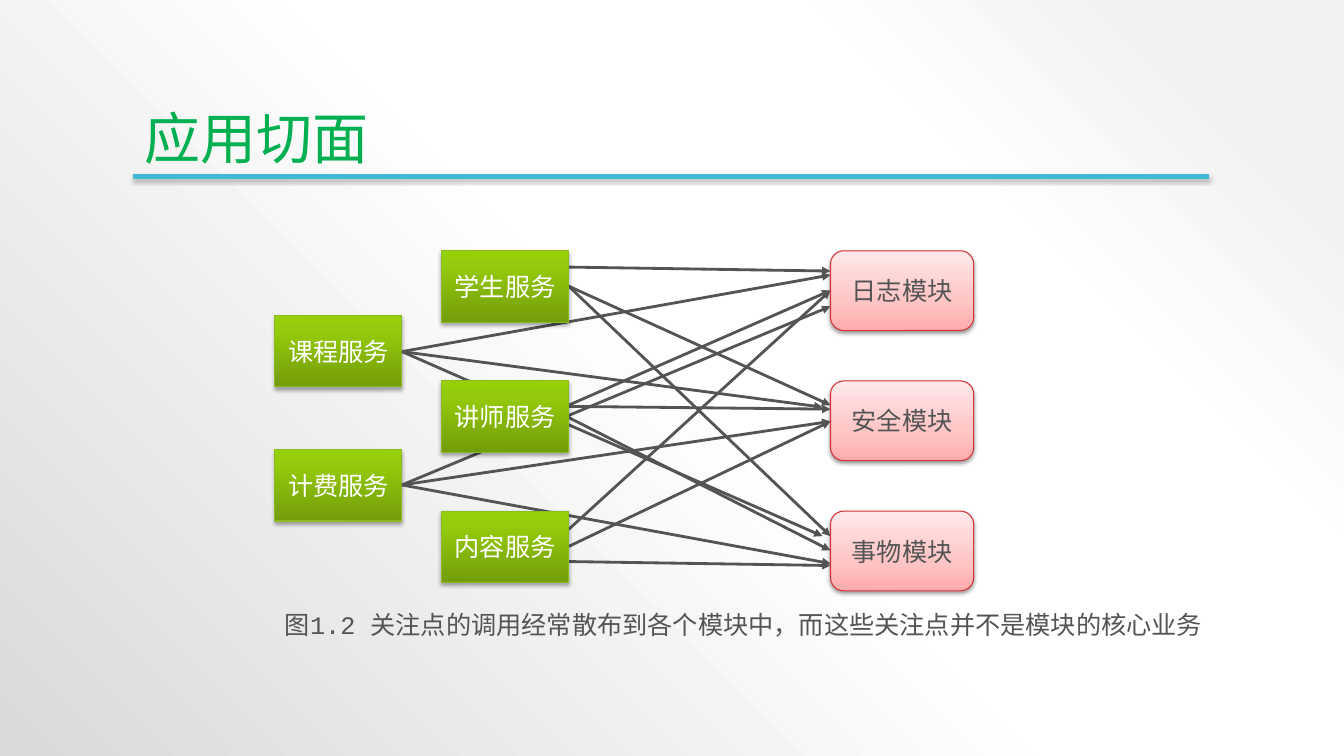
"""Build the slide on services that call shared aspect modules."""
import dataclasses
import typing

import lxml.etree
import pptx
import pptx.dml.color
import pptx.enum.shapes
import pptx.enum.text
import pptx.oxml
import pptx.oxml.ns
import pptx.shapes.autoshape
import pptx.shapes.connector
import pptx.slide
import pptx.text.text
import pptx.util

Cm = pptx.util.Cm
Pt = pptx.util.Pt
RGB = pptx.dml.color.RGBColor.from_string
ShapeKind = pptx.enum.shapes.MSO_SHAPE
Align = pptx.enum.text.PP_ALIGN
Anchor = pptx.enum.text.MSO_ANCHOR
qn = pptx.oxml.ns.qn

Stops = tuple[tuple[int, str], ...]
UPWARD = '<a:lin ang="16200000" scaled="0"/>'
FROM_TOP_RIGHT = '<a:path path="circle"><a:fillToRect l="100000" b="100000"/></a:path>'


@dataclasses.dataclass(frozen=True)
class Theme:
    font: str = "Courier New"
    title: str = "00B050"
    rule: str = "40BAD2"
    ink: str = "545454"
    white: str = "FFFFFF"
    title_size: float = 40
    text_size: float = 18
    rule_width: float = 3
    arrow_width: float = 2
    outline_width: float = 0.75
    line_spacing: float = 0.9
    backdrop: Stops = ((10, "F2F2F2"), (28, "FFFFFF"), (48, "FFFFFF"), (100, "D9D9D9"))


THEME = Theme()


@dataclasses.dataclass(frozen=True)
class BoxStyle:
    kind: pptx.enum.shapes.MSO_SHAPE
    width: float
    height: float
    stops: Stops
    outline: str
    ink: str
    shadow_alpha: int
    shadow_distance: float


@dataclasses.dataclass(frozen=True)
class Box:
    label: str
    left: float
    top: float
    style: BoxStyle


class Arrow(typing.NamedTuple):
    x1: float
    y1: float
    x2: float
    y2: float


SERVICE = BoxStyle(ShapeKind.RECTANGLE, 3.2, 1.8,
                   ((0, "739D09"), (80, "95CB0C"), (100, "97D008")),
                   "8EBB1F", THEME.white, 35, 1.8)
MODULE = BoxStyle(ShapeKind.ROUNDED_RECTANGLE, 3.61, 2.01,
                  ((0, "FFABAC"), (35, "FFC4C4"), (100, "FFE8E9")),
                  "D43438", THEME.ink, 38, 1.6)

OUTER_X, INNER_X, MODULE_X = 6.93, 11.13, 20.93
OUTER_END, INNER_END = OUTER_X + SERVICE.width, INNER_X + SERVICE.width
SHORT_X = 20.73
ROWS = [6.32 + 3.28 * row for row in range(3)]

OUTER_SERVICES = [Box("课程服务", OUTER_X, 7.95, SERVICE),
                  Box("计费服务", OUTER_X, 11.33, SERVICE)]
INNER_SERVICES = [Box(label, INNER_X, top, SERVICE)
                  for label, top in zip(("学生服务", "讲师服务", "内容服务"), ROWS)]
MODULES = [Box(label, MODULE_X, top, MODULE)
           for label, top in zip(("日志模块", "安全模块", "事物模块"), ROWS)]

ARROWS = [
    *(Arrow(INNER_END, y1, MODULE_X, y2) for y1, y2 in (
        (6.73, 6.83), (7.21, 10.21), (7.21, 13.51),
        (10.21, 7.32), (10.24, 10.31), (10.52, 13.87),
        (13.34, 7.32), (14.15, 14.25), (13.77, 10.62))),
    *(Arrow(OUTER_END, 12.22, MODULE_X, y2) for y2 in (14.2, 10.62, 7.72)),
    Arrow(OUTER_END, 8.86, MODULE_X, 6.93),
    *(Arrow(OUTER_END, 8.86, SHORT_X, y2) for y2 in (10.26, 13.51)),
]


def set_gradient(holder: lxml.etree._Element, stops: Stops, direction: str) -> None:
    marks = "".join(f'<a:gs pos="{place * 1000}"><a:srgbClr val="{colour}"/></a:gs>'
                    for place, colour in stops)
    gradient = pptx.oxml.parse_xml(
        f'<a:gradFill {pptx.oxml.ns.nsdecls("a")} rotWithShape="1">'
        f'<a:gsLst>{marks}</a:gsLst>{direction}</a:gradFill>')
    holder.replace(holder.find(qn("a:noFill")), gradient)


def add_shadow(effects: lxml.etree._Element, alpha: int, distance: float) -> None:
    effects.append(pptx.oxml.parse_xml(
        f'<a:outerShdw {pptx.oxml.ns.nsdecls("a")} blurRad="{Pt(3.1)}" '
        f'dist="{Pt(distance)}" dir="5400000" rotWithShape="0">'
        f'<a:srgbClr val="000000"><a:alpha val="{alpha * 1000}"/></a:srgbClr></a:outerShdw>'))


def add_text(para: pptx.text.text._Paragraph, text: str, size: float, colour: str) -> None:
    span = para.add_run()
    span.text = text
    span.font.name = THEME.font
    span.font.size = Pt(size)
    span.font.color.rgb = RGB(colour)


def add_box(page: pptx.slide.Slide, box: Box) -> None:
    style = box.style
    shape = page.shapes.add_shape(style.kind, Cm(box.left), Cm(box.top),
                                  Cm(style.width), Cm(style.height))
    shape.fill.background()
    properties = shape._element.spPr
    set_gradient(properties, style.stops, UPWARD)
    shape.line.color.rgb = RGB(style.outline)
    shape.line.width = Pt(THEME.outline_width)
    shape.shadow.inherit = False
    add_shadow(properties.find(qn("a:effectLst")), style.shadow_alpha, style.shadow_distance)
    shape.text_frame.vertical_anchor = Anchor.MIDDLE
    para = shape.text_frame.paragraphs[0]
    para.alignment = Align.CENTER
    add_text(para, box.label, THEME.text_size, style.ink)


def add_line(page: pptx.slide.Slide, ends: Arrow, colour: str,
             width: float) -> pptx.shapes.connector.Connector:
    line = page.shapes.add_connector(pptx.enum.shapes.MSO_CONNECTOR.STRAIGHT,
                                     *(Cm(value) for value in ends))
    line.line.color.rgb = RGB(colour)
    line.line.width = Pt(width)
    lxml.etree.SubElement(line._element.spPr, qn("a:effectLst"))
    return line


def add_arrow(page: pptx.slide.Slide, ends: Arrow) -> None:
    arrow = add_line(page, ends, THEME.ink, THEME.arrow_width)
    outline = arrow._element.spPr.find(qn("a:ln"))
    lxml.etree.SubElement(outline, qn("a:tailEnd"), type="triangle")


def add_title(page: pptx.slide.Slide) -> None:
    title = page.shapes.title
    title.left, title.top, title.width, title.height = Cm(3.38), Cm(0.76), Cm(27.1), Cm(3.68)
    title.text_frame.auto_size = pptx.enum.text.MSO_AUTO_SIZE.NONE
    title.text_frame.vertical_anchor = Anchor.BOTTOM
    para = title.text_frame.paragraphs[0]
    para.alignment = Align.LEFT
    para.line_spacing = THEME.line_spacing
    add_text(para, "应用切面", THEME.title_size, THEME.title)
    rule = add_line(page, Arrow(3.35, 4.45, 30.48, 4.45), THEME.rule, THEME.rule_width)
    add_shadow(rule._element.spPr.find(qn("a:effectLst")), 35, 1.8)


def add_caption(page: pptx.slide.Slide) -> None:
    caption = page.shapes.add_textbox(Cm(6.93), Cm(15.32), Cm(23.85), Cm(0.94))
    caption.text_frame.word_wrap = True
    para = caption.text_frame.paragraphs[0]
    para.line_spacing = THEME.line_spacing
    add_text(para, "图1.2 关注点的调用经常散布到各个模块中，而这些关注点并不是模块的核心业务",
             THEME.text_size, THEME.ink)


def main() -> None:
    deck = pptx.Presentation()
    deck.slide_width, deck.slide_height = Cm(33.87), Cm(19.05)
    page = deck.slides.add_slide(deck.slide_layouts.get_by_name("Title Only"))
    page.background.fill.background()
    set_gradient(page._element.find(".//" + qn("p:bgPr")), THEME.backdrop, FROM_TOP_RIGHT)
    add_title(page)
    for box in OUTER_SERVICES + MODULES:
        add_box(page, box)
    for ends in ARROWS:
        add_arrow(page, ends)
    for box in INNER_SERVICES:
        add_box(page, box)
    add_caption(page)
    deck.save("out.pptx")


if __name__ == "__main__":
    main()
